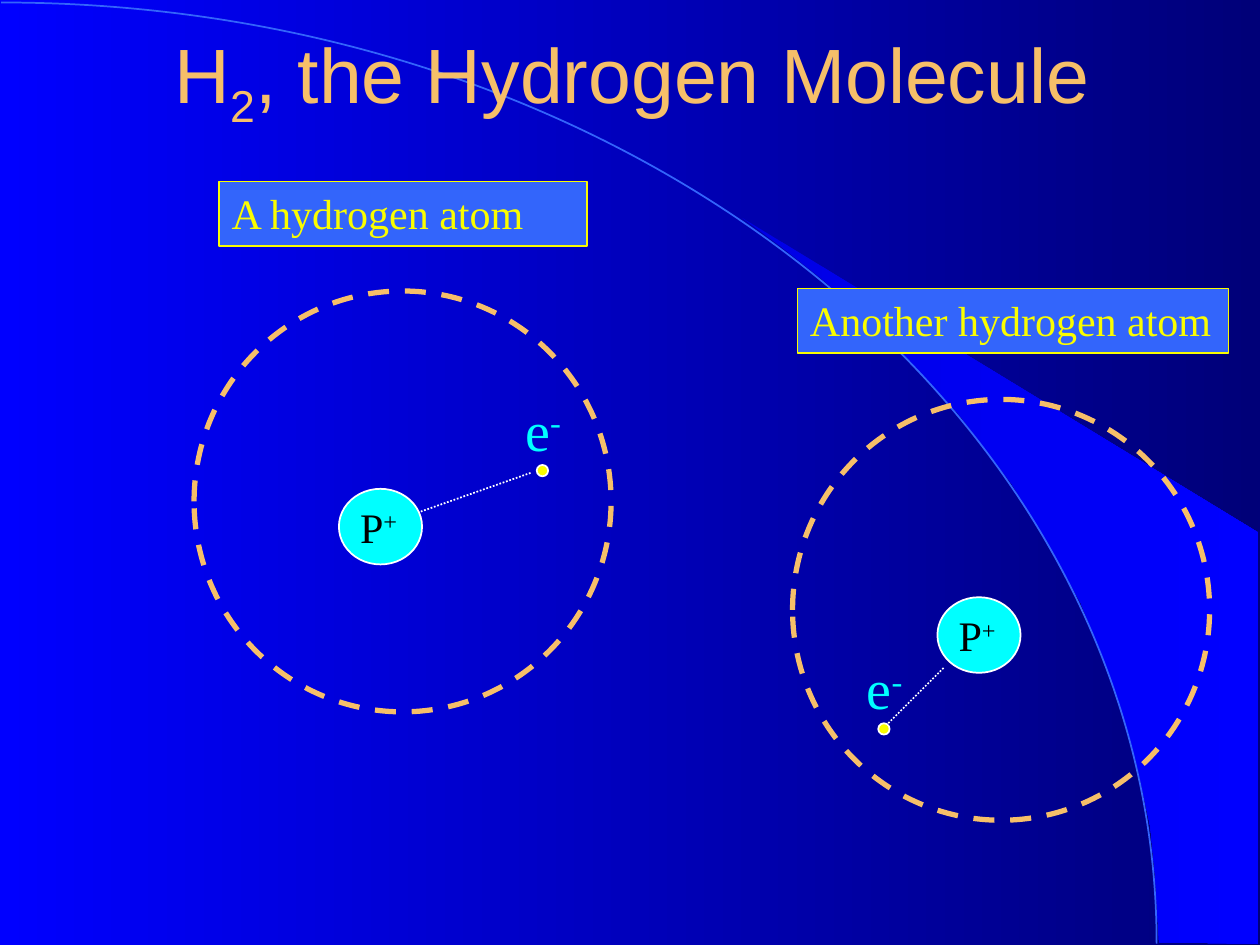
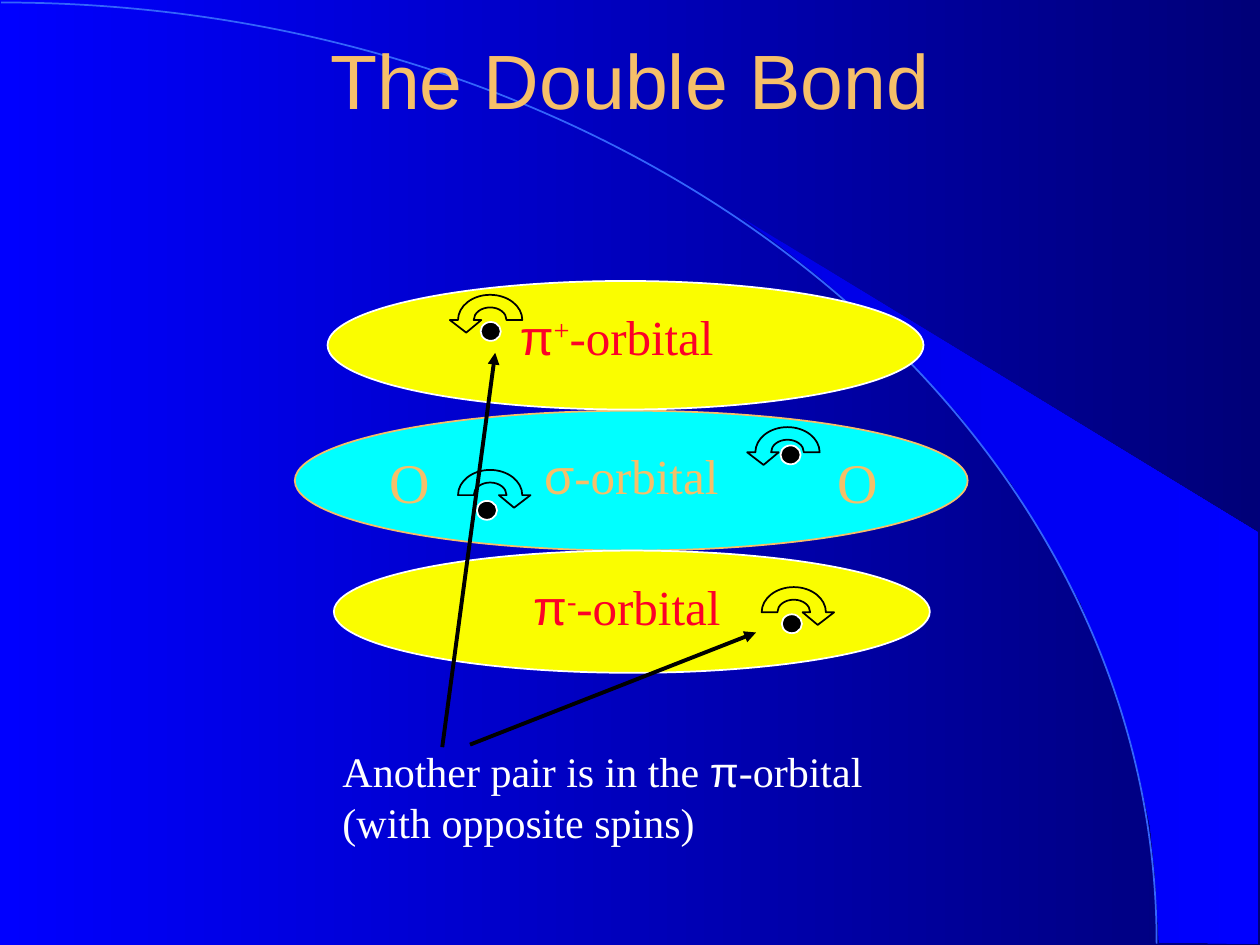
import math
from dataclasses import dataclass
from typing import NamedTuple

from lxml import etree
from pptx import Presentation
from pptx.dml.color import RGBColor
from pptx.enum.dml import MSO_LINE
from pptx.enum.shapes import MSO_CONNECTOR, MSO_SHAPE
from pptx.enum.text import MSO_ANCHOR, MSO_AUTO_SIZE, PP_ALIGN
from pptx.oxml.ns import qn
from pptx.util import Inches, Pt

BLUE = RGBColor(0x00, 0x00, 0xFF)
NAVY = RGBColor(0x00, 0x00, 0x78)
WEDGE_BLUE = RGBColor(0x00, 0x00, 0xE5)
SKY = RGBColor(0x33, 0x65, 0xFB)
GOLD = RGBColor(0xF6, 0xBF, 0x69)
YELLOW = RGBColor(0xFA, 0xFD, 0x00)
CYAN = RGBColor(0x00, 0xFF, 0xFF)
RED = RGBColor(0xFC, 0x01, 0x28)
WHITE = RGBColor(0xFF, 0xFF, 0xFF)
BLACK = RGBColor(0x00, 0x00, 0x00)

SANS = "Arial"
SERIF = "Times New Roman"
ELLIPSE = MSO_SHAPE.OVAL
RECTANGLE = MSO_SHAPE.RECTANGLE
STRAIGHT = MSO_CONNECTOR.STRAIGHT
DASH = MSO_LINE.DASH
DOTS = MSO_LINE.ROUND_DOT
LEFT, CENTER = PP_ALIGN.LEFT, PP_ALIGN.CENTER
MIDDLE, TOP = MSO_ANCHOR.MIDDLE, MSO_ANCHOR.TOP
NO_AUTOFIT = MSO_AUTO_SIZE.NONE
TITLE_ONLY = 5

SUPER, SUB = 30, -25
# Length of a Bezier handle that rounds a quarter ellipse of radius 1
HANDLE = 4 / 3 * (math.sqrt(2) - 1)
WEDGE = [(9.2, 7.48), (9.99, 7.49), (9.99, 4.23), (5.89, 1.73), (6.24, 1.99), (6.53, 2.22),
         (6.85, 2.5), (7.16, 2.8), (7.62, 3.3), (8.03, 3.84), (8.32, 4.31), (8.58, 4.79),
         (8.78, 5.28), (8.93, 5.72), (9.03, 6.09), (9.13, 6.56), (9.17, 6.96)]


class Point(NamedTuple):
    x: float
    y: float


class Box(NamedTuple):
    left: float
    top: float
    width: float
    height: float


class Span(NamedTuple):
    text: str
    font: str = SERIF
    baseline: int = 0


@dataclass(frozen=True)
class Atom:
    shell: Point
    electron: Point
    caption: str
    caption_box: Box
    link: tuple[Point, Point]


@dataclass(frozen=True)
class Orbital:
    box: Box
    fill: RGBColor
    outline: RGBColor
    label_box: Box
    label_color: RGBColor
    label: tuple[Span, ...]


@dataclass(frozen=True)
class Electron:
    """A dot, with the spin arrow whose arc is centred above it."""
    dot: Point
    arc: Point
    turn: int  # 1 points the arrow right, -1 left
    fill: RGBColor


ATOMS = [
    Atom(Point(1.54, 2.31), Point(4.26, 3.69), "A hydrogen atom",
         Box(1.74, 1.44, 2.92, 0.51), (Point(3.34, 4.06), Point(4.22, 3.75))),
    Atom(Point(6.29, 3.17), Point(6.97, 5.74), "Another hydrogen atom",
         Box(6.33, 2.29, 3.42, 0.51), (Point(7.05, 5.74), Point(7.49, 5.3))),
]
ORBITALS = [
    Orbital(Box(2.34, 3.26, 5.34, 1.11), CYAN, GOLD, Box(3.97, 3.49, 2.08, 0.57), GOLD,
            (Span("σ", SANS), Span("-orbital"))),
    Orbital(Box(2.65, 4.37, 4.73, 0.97), YELLOW, WHITE, Box(3.64, 4.53, 2.67, 0.57), RED,
            (Span("π", SANS), Span("-", baseline=SUPER), Span("-orbital"))),
    Orbital(Box(2.6, 2.23, 4.73, 1.02), YELLOW, WHITE, Box(3.56, 2.38, 2.67, 0.57), RED,
            (Span("π", SANS), Span("+", baseline=SUPER), Span("-orbital"))),
]
SIGMA_ELECTRONS = [
    Electron(Point(3.79, 3.97), Point(3.89, 3.93), 1, CYAN),
    Electron(Point(6.2, 3.53), Point(6.25, 3.59), -1, CYAN),
]
PI_ELECTRONS = [
    Electron(Point(6.21, 4.87), Point(6.3, 4.86), 1, YELLOW),
    Electron(Point(3.82, 2.55), Point(3.89, 2.54), -1, YELLOW),
]
PI_POINTERS = [
    (Point(3.51, 5.93), Point(3.93, 2.8)),
    (Point(3.73, 5.91), Point(6, 5.02)),
]


def emu(box):
    return [Inches(value) for value in box]


def paint(shape, fill=None, outline=None, width: float = 1) -> None:
    shape.shadow.inherit = False
    if fill is None:
        shape.fill.background()
    else:
        shape.fill.solid()
        shape.fill.fore_color.rgb = fill
    if outline is None:
        shape.line.fill.background()
    else:
        shape.line.color.rgb = outline
        shape.line.width = Pt(width)


def blend(fill, start: RGBColor, end: RGBColor) -> None:
    """Give a fill a gradient from left to right."""
    fill.gradient()
    fill.gradient_angle = 0
    for stop, color in zip(fill.gradient_stops, (start, end)):
        stop.color.rgb = color


def write(frame, spans, size: float, color: RGBColor, align=LEFT, anchor=TOP) -> None:
    frame.word_wrap = True
    frame.auto_size = NO_AUTOFIT
    frame.vertical_anchor = anchor
    para = frame.paragraphs[0]
    para.alignment = align
    for span in spans:
        run = para.add_run()
        run.text = span.text
        run.font.name = span.font
        run.font.size = Pt(size)
        run.font.color.rgb = color
        if span.baseline:
            run._r.get_or_add_rPr().set("baseline", str(span.baseline * 1000))


def add_label(slide, box: Box, spans, size: float, color: RGBColor, align=LEFT) -> None:
    write(slide.shapes.add_textbox(*emu(box)).text_frame, spans, size, color, align)


def add_preset(slide, kind, box: Box, fill=None, outline=None, width: float = 1):
    shape = slide.shapes.add_shape(kind, *emu(box))
    paint(shape, fill, outline, width)
    return shape


def add_outline(slide, points, curves=(), close: bool = True):
    """Draw a freeform; each number in curves is the point where a three-point Bezier begins."""
    corners = [(Inches(x), Inches(y)) for x, y in points]
    builder = slide.shapes.build_freeform(*corners[0])
    builder.add_line_segments(corners[1:], close=close)
    shape = builder.convert_to_shape()
    segments = list(shape._element.iter(qn("a:lnTo")))
    for first in curves:
        group = segments[first - 1:first + 2]
        curve = etree.Element(qn("a:cubicBezTo"))
        group[0].addprevious(curve)
        for segment in group:
            curve.append(segment[0])
            segment.getparent().remove(segment)
    return shape


def add_line(slide, start: Point, end: Point, color: RGBColor, width: float):
    line = slide.shapes.add_connector(STRAIGHT, *emu((*start, *end)))
    line.line.color.rgb = color
    line.line.width = Pt(width)
    etree.SubElement(line._element.spPr, qn("a:effectLst"))
    return line


def half_ellipse(center: Point, radius_x: float, radius_y: float) -> list[Point]:
    """Start point and two Beziers over the upper half, from the side of radius_x."""
    steps = [(1, 0), (1, HANDLE), (HANDLE, 1), (0, 1), (-HANDLE, 1), (-1, HANDLE), (-1, 0)]
    return [Point(center.x + radius_x * x, center.y - radius_y * y) for x, y in steps]


def decorate_master(deck, slide) -> None:
    """Put the shared background, wedge and arc on the slide master."""
    master = deck.slide_master
    blend(master.background.fill, BLUE, NAVY)
    wedge = add_outline(slide, WEDGE)
    paint(wedge)
    blend(wedge.fill, WEDGE_BLUE, BLUE)
    arc_points = [(0.01, 0.02), (5.08, 0.02), (9.18, 3.37), (9.18, 7.49)]
    arc = add_outline(slide, arc_points, curves=[1], close=False)
    paint(arc, outline=SKY)
    for index, shape in enumerate((wedge, arc)):
        shape._element.nvSpPr.cNvPr.set("id", str(100 + index))
        master.shapes.element.insert(2 + index, shape._element)


def add_titled_slide(deck, left: float, spans):
    slide = deck.slides.add_slide(deck.slide_layouts[TITLE_ONLY])
    title = slide.shapes.title
    title.left, title.top, title.width, title.height = emu((left, 0, 8.5, 1.25))
    write(title.text_frame, spans, 44, GOLD, CENTER, MIDDLE)
    return slide


def draw_atom(slide, atom: Atom) -> None:
    x, y = atom.shell
    add_preset(slide, ELLIPSE, Box(x + 1.15, y + 1.57, 0.66, 0.6), CYAN, WHITE)
    add_label(slide, Box(x + 1.22, y + 1.62, 0.53, 0.5),
              [Span("P"), Span("+", baseline=SUPER)], 24, BLACK)
    add_preset(slide, ELLIPSE, Box(*atom.electron, 0.09, 0.09), YELLOW, WHITE)
    add_label(slide, Box(atom.electron.x - 0.19, atom.electron.y - 0.6, 0.57, 0.63),
              [Span("e"), Span("-", baseline=SUPER)], 32, CYAN)
    shell = add_preset(slide, ELLIPSE, Box(x, y, 3.31, 3.34), outline=GOLD, width=3)
    shell.line.dash_style = DASH
    caption = add_preset(slide, RECTANGLE, atom.caption_box, SKY, YELLOW)
    write(caption.text_frame, [Span(atom.caption)], 24, YELLOW)
    add_line(slide, *atom.link, WHITE, 1).line.dash_style = DOTS


def draw_orbital(slide, orbital: Orbital) -> None:
    add_preset(slide, ELLIPSE, orbital.box, orbital.fill, orbital.outline)
    add_label(slide, orbital.label_box, orbital.label, 28, orbital.label_color, CENTER)


def draw_electron(slide, electron: Electron) -> None:
    dot = add_preset(slide, ELLIPSE, Box(*electron.dot, 0.15, 0.16), BLACK, WHITE)
    dot.rotation = 270
    arc, turn = electron.arc, electron.turn
    inner = half_ellipse(arc, 0.13 * turn, 0.1)
    outer = half_ellipse(arc, -0.255 * turn, 0.2)
    head = [Point(arc.x + dx * turn, arc.y + dy) for dx, dy in ((0.32, 0), (0.19, 0.1), (0.07, 0))]
    arrow = add_outline(slide, inner + outer + head, curves=[1, 4, 8, 11])
    paint(arrow, electron.fill, BLACK)


def add_hydrogen_slide(deck):
    slide = add_titled_slide(deck, 0.77, [Span("H", SANS), Span("2", SANS, SUB),
                                          Span(", the Hydrogen Molecule", SANS)])
    for atom in ATOMS:
        draw_atom(slide, atom)
    return slide


def add_double_bond_slide(deck) -> None:
    slide = add_titled_slide(deck, 0.75, [Span("The Double Bond", SANS)])
    for orbital in ORBITALS:
        draw_orbital(slide, orbital)
    for left in (2.75, 6.3):
        add_label(slide, Box(left, 3.5, 1.01, 0.63), [Span("O")], 32, GOLD, CENTER)
    add_label(slide, Box(2.62, 5.87, 5.06, 0.9),
              [Span("Another pair is in the "), Span("π", SANS),
               Span("-orbital (with opposite spins)")], 24, WHITE)
    for electron in SIGMA_ELECTRONS:
        draw_electron(slide, electron)
    for start, end in PI_POINTERS:
        pointer = add_line(slide, start, end, BLACK, 2.25)
        etree.SubElement(pointer.line._get_or_add_ln(), qn("a:tailEnd"), type="triangle")
    for electron in PI_ELECTRONS:
        draw_electron(slide, electron)


def main() -> None:
    deck = Presentation()
    deck.slide_width, deck.slide_height = Inches(10), Inches(7.5)
    hydrogen_slide = add_hydrogen_slide(deck)
    decorate_master(deck, hydrogen_slide)
    add_double_bond_slide(deck)
    deck.save("out.pptx")


if __name__ == "__main__":
    main()
